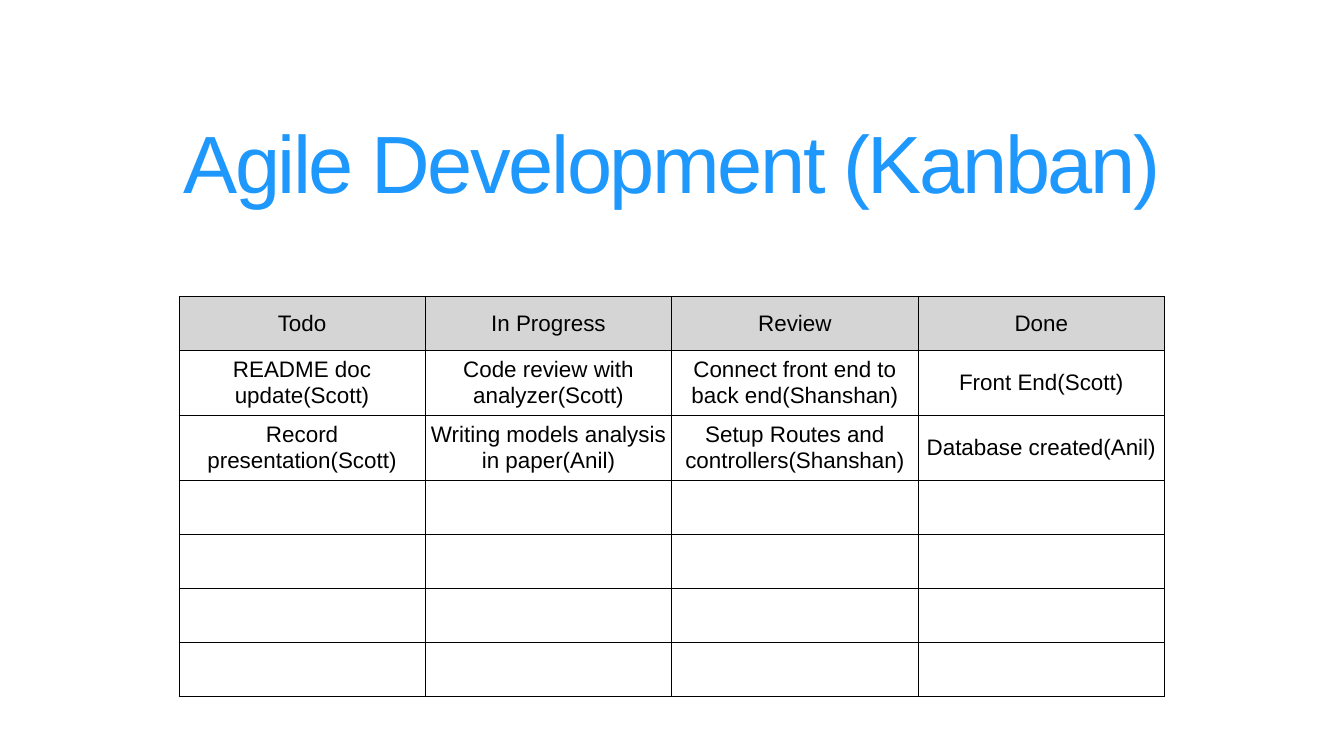
from lxml import etree
from pptx import Presentation
from pptx.dml.color import RGBColor
from pptx.enum.text import MSO_ANCHOR, PP_ALIGN
from pptx.oxml.ns import qn
from pptx.util import Inches, Pt

MIDDLE = MSO_ANCHOR.MIDDLE
BOTTOM = MSO_ANCHOR.BOTTOM
CENTER = PP_ALIGN.CENTER

TITLE = "Agile Development (Kanban)"
BOARD = {
    "Todo": ["README doc update(Scott)", "Record presentation(Scott)"],
    "In Progress": ["Code review with analyzer(Scott)", "Writing models analysis in paper(Anil)"],
    "Review": ["Connect front end to back end(Shanshan)", "Setup Routes and controllers(Shanshan)"],
    "Done": ["Front End(Scott)", "Database created(Anil)"],
}
ROW_HEIGHTS = [1.07, 1.29, 1.29, 1.07, 1.07, 1.07, 1.07]
COLUMN_WIDTH = 4.89
TABLE_LEFT, TABLE_TOP = 3.55, 5.88

THEME = {
    "font": "Arial",
    "title": {"size": 116, "color": "1E98FD"},
    "body": {"size": 32, "color": "000000"},
    "header_fill": "D5D5D5",
    "cell_fill": "FFFFFF",
    "border": "000000",
    "border_width": 1,
    "inset": 0.06,
}
MARGINS = {
    f"margin_{side}": Inches(THEME["inset"]) for side in ("left", "top", "right", "bottom")
}


def apply_format(target, values):
    for name, value in values.items():
        setattr(target, name, value)


def write_text(paragraph, text, style):
    paragraph.alignment = CENTER
    run = paragraph.add_run()
    run.text = text
    apply_format(run.font, {"name": THEME["font"], "size": Pt(style["size"])})
    run.font.color.rgb = RGBColor.from_string(style["color"])
    return run


def add_borders(cell):
    properties = cell._tc.get_or_add_tcPr()
    for position, edge in enumerate(("a:lnL", "a:lnR", "a:lnT", "a:lnB")):
        line = etree.Element(qn(edge), w=str(Pt(THEME["border_width"])))
        fill = etree.SubElement(line, qn("a:solidFill"))
        etree.SubElement(fill, qn("a:srgbClr"), val=THEME["border"])
        properties.insert(position, line)


def add_title(slide):
    shape = slide.shapes.add_textbox(Inches(1.39), 0, Inches(23.89), Inches(4.24))
    frame = shape.text_frame
    apply_format(frame, {"word_wrap": True, "vertical_anchor": BOTTOM, **MARGINS})
    paragraph = frame.paragraphs[0]
    paragraph.line_spacing = 0.9
    run = write_text(paragraph, TITLE, THEME["title"])
    run.font._element.set("spc", "-350")


def add_board(slide):
    table = slide.shapes.add_table(
        len(ROW_HEIGHTS), len(BOARD), Inches(TABLE_LEFT), Inches(TABLE_TOP),
        Inches(COLUMN_WIDTH * len(BOARD)), Inches(sum(ROW_HEIGHTS)),
    ).table
    apply_format(table, {"first_row": False, "horz_banding": False})
    for row, height in zip(table.rows, ROW_HEIGHTS):
        row.height = Inches(height)
    for column_index, (heading, tasks) in enumerate(BOARD.items()):
        table.columns[column_index].width = Inches(COLUMN_WIDTH)
        texts = [heading, *tasks]
        for row_index in range(len(ROW_HEIGHTS)):
            cell = table.cell(row_index, column_index)
            apply_format(cell, {"vertical_anchor": MIDDLE, **MARGINS})
            cell.fill.solid()
            color = THEME["cell_fill"] if row_index else THEME["header_fill"]
            cell.fill.fore_color.rgb = RGBColor.from_string(color)
            add_borders(cell)
            if row_index < len(texts):
                write_text(cell.text_frame.paragraphs[0], texts[row_index], THEME["body"])


def main():
    presentation = Presentation()
    apply_format(presentation, {"slide_width": Inches(26.67), "slide_height": Inches(15)})
    slide = presentation.slides.add_slide(presentation.slide_layouts[6])
    add_title(slide)
    add_board(slide)
    presentation.save("out.pptx")


if __name__ == "__main__":
    main()
